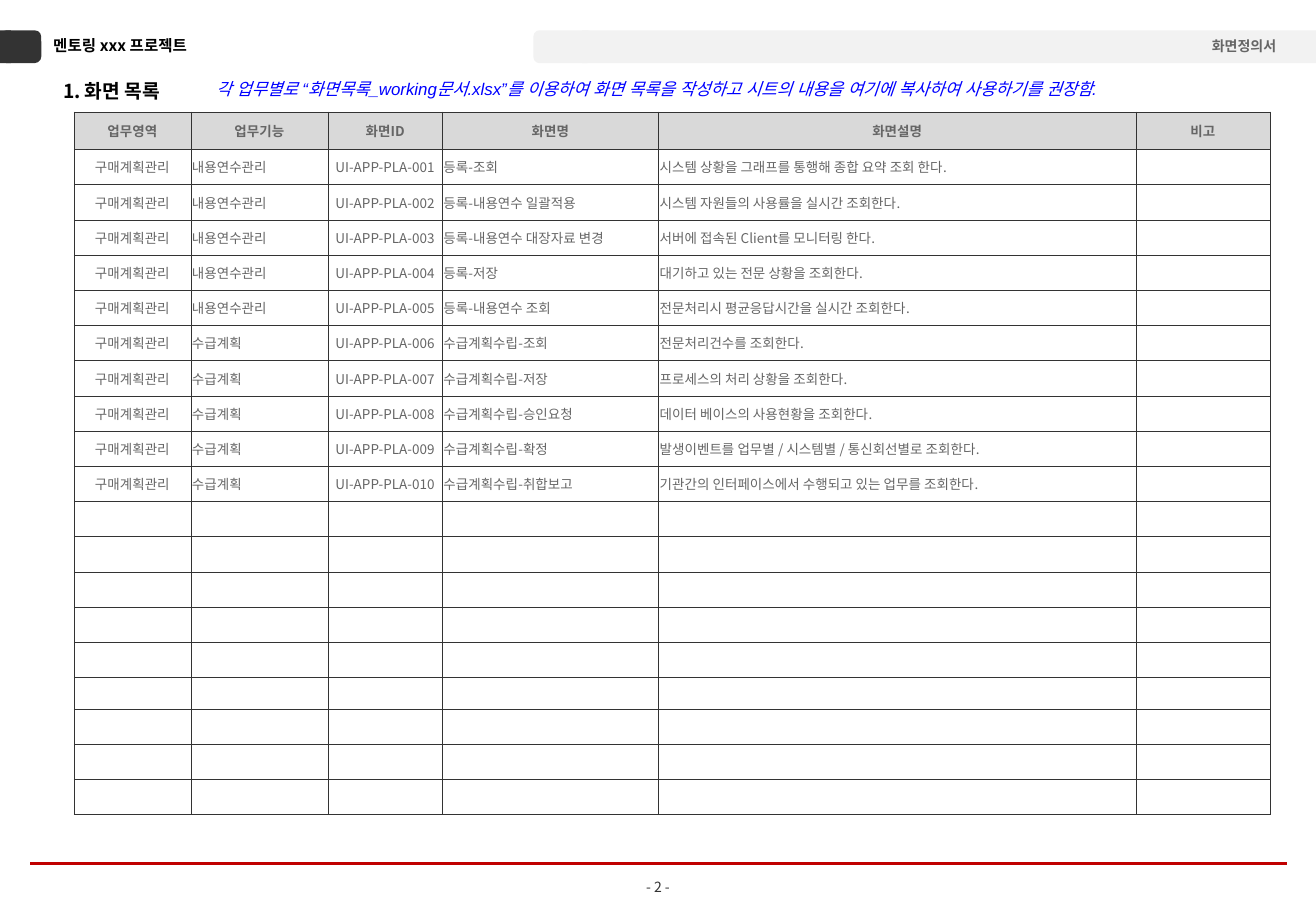
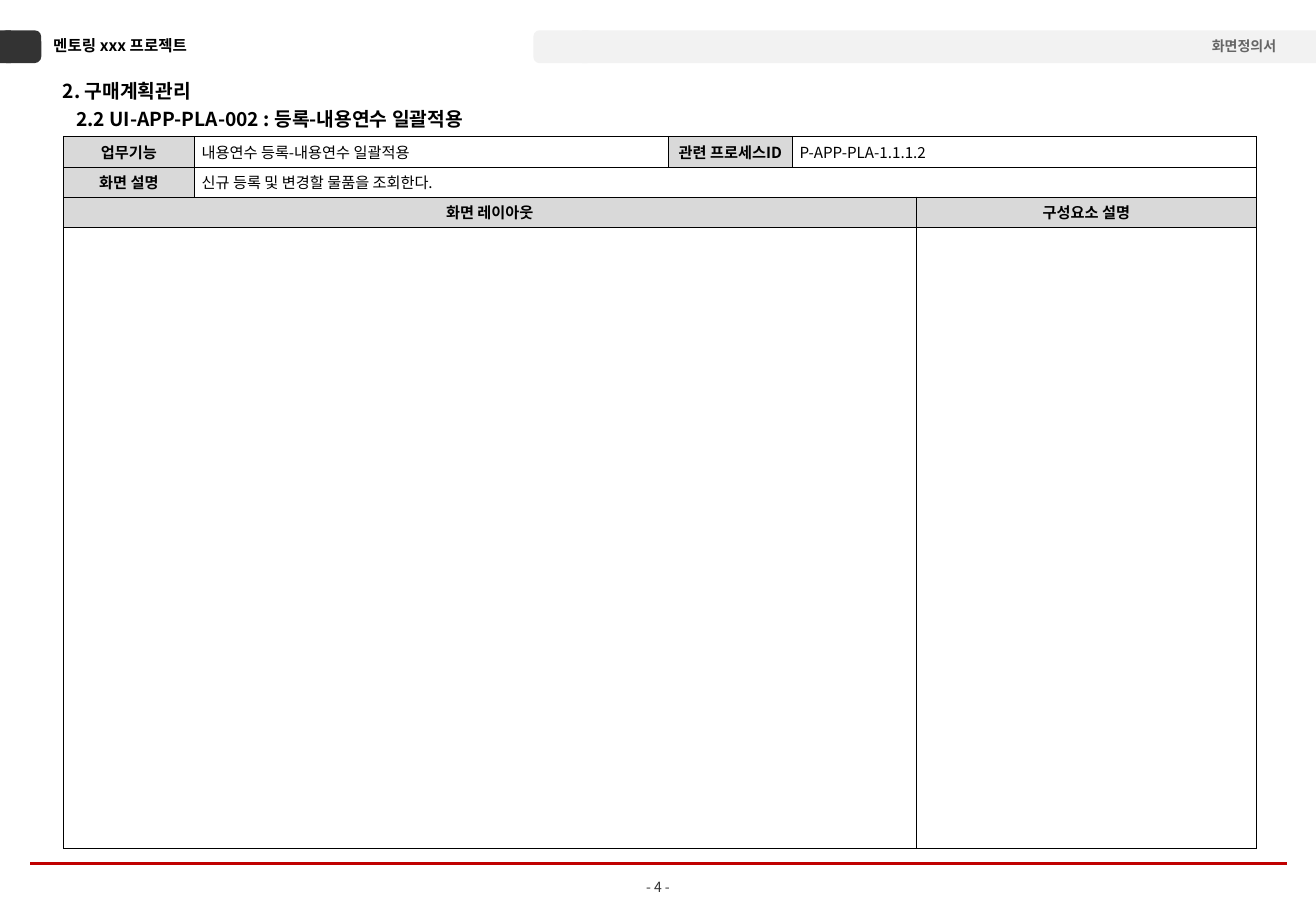
from lxml.etree import SubElement
from pptx import Presentation
from pptx.dml.color import RGBColor
from pptx.enum.shapes import MSO_CONNECTOR as CONNECTOR, MSO_SHAPE as SHAPE
from pptx.enum.text import MSO_ANCHOR as ANCHOR, PP_ALIGN as ALIGN
from pptx.oxml.ns import qn
from pptx.util import Inches, Pt

# Shared style
FONT = "Noto Sans CJK KR"
BLACK, DARK, GREY = "000000", "333333", "666666"
BAND, HEADING, RED, BLUE = "F2F2F2", "D9D9D9", "C00000", "0000FF"
SLIDE_W, SLIDE_H = 10.83, 7.5
BAND_TOP, BAND_H = 0.25, 0.27

# Screen list
LIST_COLS = [0.96, 1.13, 0.94, 1.78, 3.93, 1.1]
LIST_ROWS = [0.31] + [0.29] * 15 + [0.26] + [0.29] * 3
LIST_HEADINGS = ["업무영역", "업무기능", "화면ID", "화면명", "화면설명", "비고"]
CENTRED_COLS = (0, 2)
AREA = "구매계획관리"
SCREENS = [
    ("내용연수관리", "등록-조회", "시스템 상황을 그래프를 통행해 종합 요약 조회 한다."),
    ("내용연수관리", "등록-내용연수 일괄적용", "시스템 자원들의 사용률을 실시간 조회한다."),
    ("내용연수관리", "등록-내용연수 대장자료 변경", "서버에 접속된 Client를 모니터링 한다."),
    ("내용연수관리", "등록-저장", "대기하고 있는 전문 상황을 조회한다."),
    ("내용연수관리", "등록-내용연수 조회", "전문처리시 평균응답시간을 실시간 조회한다."),
    ("수급계획", "수급계획수립-조회", "전문처리건수를 조회한다."),
    ("수급계획", "수급계획수립-저장", "프로세스의 처리 상황을 조회한다."),
    ("수급계획", "수급계획수립-승인요청", "데이터 베이스의 사용현황을 조회한다."),
    ("수급계획", "수급계획수립-확정", "발생이벤트를 업무별 / 시스템별 / 통신회선별로 조회한다."),
    ("수급계획", "수급계획수립-취합보고", "기관간의 인터페이스에서 수행되고 있는 업무를 조회한다."),
]

# Screen definition: (row, column, last column, text, is a heading)
DEFINITION_COLS = [1.08, 3.9, 1.02, 1.02, 2.8]
DEFINITION_ROWS = [0.26, 0.24, 0.25, 5.11]
DEFINITION = [
    (0, 0, 0, "업무기능", True),
    (0, 1, 1, "내용연수 등록-내용연수 일괄적용", False),
    (0, 2, 2, "관련 프로세스ID", True),
    (0, 3, 4, "P-APP-PLA-1.1.1.2", False),
    (1, 0, 0, "화면 설명", True),
    (1, 1, 4, "신규 등록 및 변경할 물품을 조회한다.", False),
    (2, 0, 3, "화면 레이아웃", True),
    (2, 4, 4, "구성요소 설명", True),
    (3, 0, 3, "", False),
    (3, 4, 4, "", False),
]


def rgb(value):
    return RGBColor.from_string(value)


def style(paragraph, size, color, bold=False, italic=False, align=ALIGN.LEFT, name=FONT):
    paragraph.alignment = align
    font = paragraph.font
    font.size, font.bold, font.italic = Pt(size), bold, italic
    font.color.rgb = rgb(color)
    font.name = name
    # Korean glyphs take the East Asian typeface
    defaults = paragraph._p.pPr.find(qn("a:defRPr"))
    SubElement(defaults, qn("a:ea"), typeface=name)
    if not paragraph.runs:
        SubElement(paragraph._p, qn("a:endParaRPr"), sz=str(int(size * 100)))


def add_text(slide, box, text, size, color, **look):
    frame = slide.shapes.add_textbox(*map(Inches, box)).text_frame
    frame.word_wrap = True
    paragraph = frame.paragraphs[0]
    paragraph.text = text
    style(paragraph, size, color, **look)
    return frame


def add_block(slide, kind, left, width, color, corner=None):
    block = slide.shapes.add_shape(
        kind, Inches(left), Inches(BAND_TOP), Inches(width), Inches(BAND_H))
    block.shadow.inherit = False
    block.fill.solid()
    block.fill.fore_color.rgb = rgb(color)
    block.line.fill.background()
    if corner is not None:
        block.adjustments[0] = corner


def add_rule(slide, left, right, y, color, width):
    rule = slide.shapes.add_connector(
        CONNECTOR.STRAIGHT, Inches(left), Inches(y), Inches(right), Inches(y))
    rule.line.color.rgb = rgb(color)
    rule.line.width = Pt(width)
    SubElement(rule._element.spPr, qn("a:effectLst"))


def set_borders(cell, color):
    properties = cell._tc.get_or_add_tcPr()
    for side in ("lnL", "lnR", "lnT", "lnB"):
        border = SubElement(properties, qn(f"a:{side}"), w=str(Pt(0.25)))
        fill = SubElement(border, qn("a:solidFill"))
        SubElement(fill, qn("a:srgbClr"), val=color)


def add_grid(slide, left, top, cols, rows, border):
    grid = slide.shapes.add_table(
        len(rows), len(cols), Inches(left), Inches(top),
        Inches(sum(cols)), Inches(sum(rows))).table
    grid.first_row = grid.horz_banding = False
    for column, width in zip(grid.columns, cols):
        column.width = Inches(width)
    for row, height in zip(grid.rows, rows):
        row.height = Inches(height)
    for cell in grid.iter_cells():
        set_borders(cell, border)
        cell.fill.background()
    return grid


def fill_cell(cell, text, size, color, heading, centred, margin, indent=0):
    cell.vertical_anchor = ANCHOR.MIDDLE
    cell.margin_left = Inches(margin + indent)
    cell.margin_right = cell.margin_top = cell.margin_bottom = Inches(margin)
    if heading:
        cell.fill.solid()
        cell.fill.fore_color.rgb = rgb(HEADING)
    paragraph = cell.text_frame.paragraphs[0]
    paragraph.text = text
    style(paragraph, size, color, bold=heading,
          align=ALIGN.CENTER if centred else ALIGN.LEFT)


def add_page(deck, number):
    """Blank slide with the header bands, footer rule and page number."""
    slide = deck.slides.add_slide(deck.slide_layouts[6])
    add_text(slide, (5.08, 7.18, 0.67, 0.24), f"- {number} -", 8.3, DARK, align=ALIGN.CENTER)
    add_text(slide, (0.34, 0.25, 3.9, 0.26), "멘토링 xxx 프로젝트", 9.2, BLACK, bold=True)
    add_block(slide, SHAPE.RECTANGLE, 0, 0.09, DARK)
    add_block(slide, SHAPE.ROUNDED_RECTANGLE, 0, 0.34, DARK, 0.2)
    add_block(slide, SHAPE.RECTANGLE, 4.79, SLIDE_W - 4.79, BAND)
    add_block(slide, SHAPE.ROUNDED_RECTANGLE, 4.39, 0.49, BAND, 0.18)
    add_text(slide, (8.59, 0.26, 2.01, 0.24), "화면정의서", 8.3, GREY,
             bold=True, align=ALIGN.RIGHT)
    add_rule(slide, 0.25, 10.59, 7.11, RED, 1.5)
    return slide


def add_title(slide, title, width, subtitle=None):
    frame = add_text(slide, (0.42, 0.6, width, 0.53 if subtitle else 0.29),
                     title, 11.4, BLACK, bold=True)
    if subtitle:
        paragraph = frame.add_paragraph()
        paragraph.text = subtitle
        paragraph.space_before = Pt(3)
        style(paragraph, 11.4, BLACK, bold=True)
        paragraph._p.pPr.set("marL", str(Inches(0.11)))


def add_screen_list(deck):
    slide = add_page(deck, 2)
    add_title(slide, "1. 화면 목록", 3.39)
    grid = add_grid(slide, 0.61, 0.92, LIST_COLS, LIST_ROWS, DARK)
    lines = [LIST_HEADINGS]
    for number, (function, name, description) in enumerate(SCREENS, 1):
        lines.append([AREA, function, f"UI-APP-PLA-{number:03}", name, description, ""])
    blank = [""] * len(LIST_COLS)
    lines += [blank] * (len(LIST_ROWS) - len(lines))
    for row, line in enumerate(lines):
        for col, text in enumerate(line):
            heading = row == 0
            fill_cell(grid.cell(row, col), text, 8, GREY, heading,
                      heading or col in CENTRED_COLS, 0.01)
    add_text(slide, (1.68, 0.6, 8.15, 0.29),
             "각 업무별로 “화면목록_working문서.xlsx”를 이용하여 화면 목록을 작성하고 "
             "시트의 내용을 여기에 복사하여 사용하기를 권장함.",
             10, BLUE, italic=True, name="Arial")


def add_screen_definition(deck):
    slide = add_page(deck, 4)
    add_title(slide, "2. 구매계획관리", 6.06, "2.2 UI-APP-PLA-002 : 등록-내용연수 일괄적용")
    grid = add_grid(slide, 0.52, 1.12, DEFINITION_COLS, DEFINITION_ROWS, BLACK)
    for row, first, last, text, heading in DEFINITION:
        cell = grid.cell(row, first)
        if last > first:
            cell.merge(grid.cell(row, last))
        fill_cell(cell, text, 9, BLACK, heading, heading, 0.03, 0 if heading else 0.03)


def main():
    deck = Presentation()
    deck.slide_width, deck.slide_height = Inches(SLIDE_W), Inches(SLIDE_H)
    add_screen_list(deck)
    add_screen_definition(deck)
    deck.save("out.pptx")


if __name__ == "__main__":
    main()
